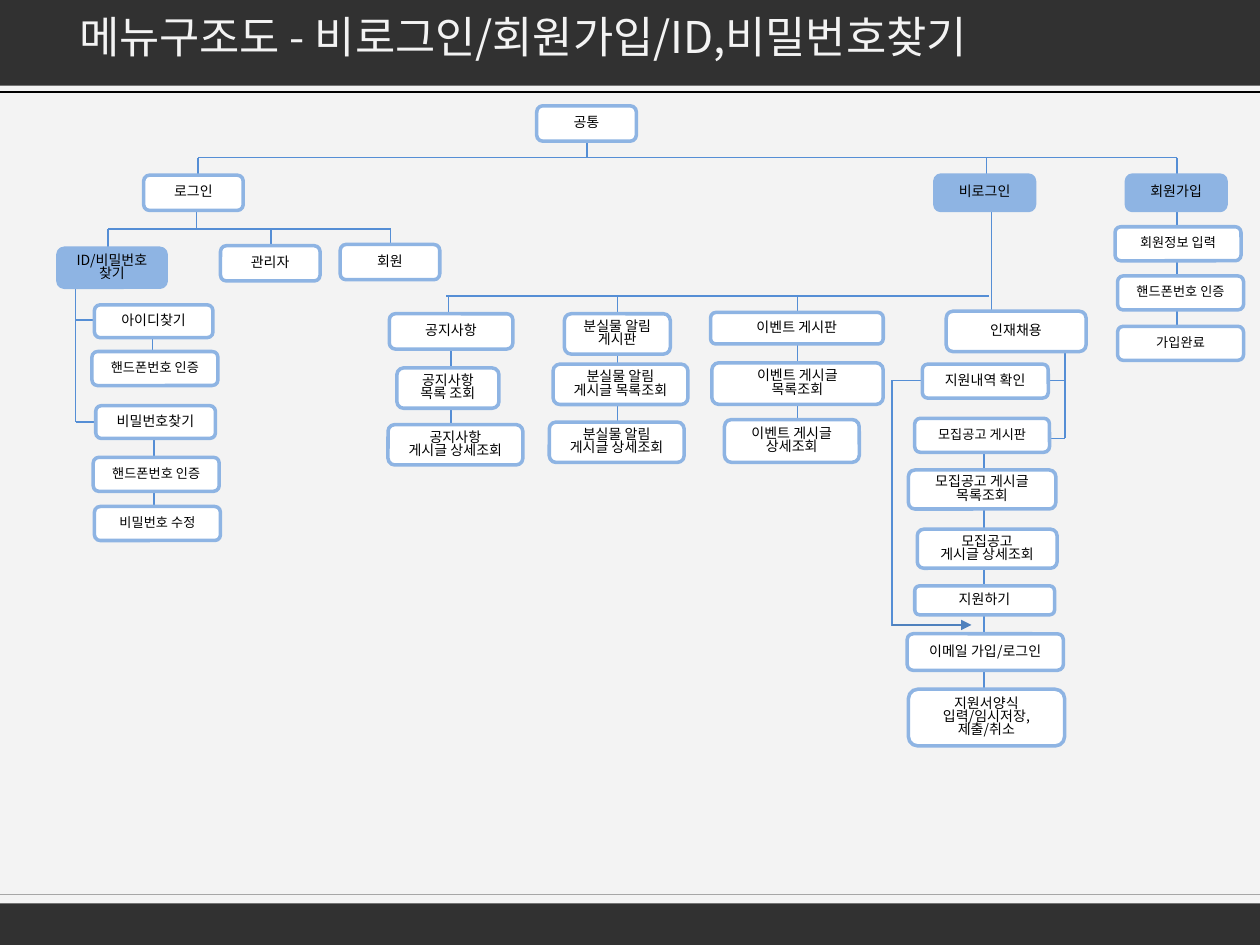
from lxml import etree
from pptx import Presentation
from pptx.dml.color import RGBColor
from pptx.enum.shapes import MSO_CONNECTOR, MSO_SHAPE
from pptx.enum.text import MSO_ANCHOR, PP_ALIGN
from pptx.oxml.ns import qn
from pptx.util import Inches, Pt

TITLE = "메뉴구조도 - 비로그인/회원가입/ID,비밀번호찾기"

# All lengths are grid units: the slide is 1000 columns by 750 rows.
COLUMNS, ROWS = 1000, 750
UNIT = Inches(10) // COLUMNS

# Each chain: x of its links, then boxes of (text, left, top, width, height, style).
CHAINS = [
    (466, [("공통", 426, 84, 79, 28, "plain")]),
    (157, [("로그인", 114, 139, 79, 28, "plain")]),
    (787, [("비로그인", 742, 139, 79, 28, "active"),
           ("인재채용", 751, 247, 111, 32, "plain")]),
    (934, [("회원가입", 894, 139, 79, 28, "active"),
           ("회원정보 입력", 885, 180, 100, 27, "small"),
           ("핸드폰번호 인증", 887, 219, 100, 27, "small"),
           ("가입완료", 887, 259, 100, 27, "small")]),
    (86, [("ID/비밀번호 찾기", 46, 197, 86, 31, "active")]),
    (215, [("관리자", 175, 195, 79, 28, "plain")]),
    (310, [("회원", 270, 194, 79, 28, "plain")]),
    (121, [("아이디찾기", 75, 242, 94, 26, "plain"),
           ("핸드폰번호 인증", 73, 279, 100, 27, "small")]),
    (122, [("비밀번호찾기", 76, 322, 95, 26, "plain"),
           ("핸드폰번호 인증", 74, 363, 100, 27, "small"),
           ("비밀번호 수정", 75, 402, 100, 27, "small")]),
    (358, [("공지사항", 309, 249, 98, 28, "plain"),
           ("공지사항 목록 조회", 315, 292, 81, 32, "plain"),
           ("공지사항\n게시글 상세조회", 308, 337, 107, 32, "plain")]),
    (490, [("분실물 알림\n게시판", 448, 249, 84, 32, "plain"),
           ("분실물 알림\n게시글 목록조회", 439, 289, 107, 32, "plain"),
           ("분실물 알림\n게시글 상세조회", 436, 335, 107, 32, "plain")]),
    (633, [("이벤트 게시판", 564, 248, 137, 25, "plain"),
           ("이벤트 게시글\n목록조회", 565, 288, 136, 33, "plain"),
           ("이벤트 게시글\n상세조회", 575, 333, 107, 34, "plain")]),
    (782, [("지원내역 확인", 732, 289, 100, 27, "plain")]),
    (781, [("모집공고 게시판", 726, 332, 107, 27, "small"),
           ("모집공고 게시글\n목록조회", 721, 373, 117, 31, "plain"),
           ("모집공고\n게시글 상세조회", 728, 420, 111, 31, "plain"),
           ("지원하기", 726, 465, 111, 23, "plain"),
           ("이메일 가입/로그인", 720, 503, 124, 29, "plain"),
           ("지원서양식\n입력/임시저장,\n제출/취소", 721, 547, 124, 45, "plain")]),
]

# Each bus: y, left end, right end, stems of (x, top, bottom).
BUSES = [
    (125, 157, 934, [(466, 112, 125), (157, 125, 139), (783, 125, 139), (934, 125, 139)]),
    (182, 86, 310, [(156, 167, 182), (86, 182, 197), (215, 182, 195), (310, 182, 194)]),
    (235, 354, 785, [(356, 235, 249), (490, 235, 249), (633, 235, 248)]),
]

# Side branches: x, top, bottom, arms of (y, far x).
BRANCHES = [
    (60, 229, 335, [(254, 75), (335, 76)]),
    (845, 279, 348, [(302, 832), (348, 833)]),
    (708, 302, 497, [(302, 733)]),
]

THEME = {
    "font": "Noto Sans CJK KR",
    "background": "F3F3F3", "bar": "313131", "title": "F3F3F3",
    "text": "000000", "border": "8EB4E3", "link": "558ED5",
    "arrow": "4F81BD", "header_rule": "000000", "footer_rule": "A6A6A6",
    "title_size": 25, "border_width": 2, "link_width": 1, "rule_width": 0.75,
}
STYLES = {"plain": ("FFFFFF", 8), "active": ("8EB4E3", 8), "small": ("FFFFFF", 7.5)}


def color(name):
    """Return the RGB colour of a theme entry or a hex code."""
    return RGBColor.from_string(THEME.get(name, name))


def grid(*lengths):
    """Turn grid units into slide lengths."""
    return [length * UNIT for length in lengths]


def write(frame, text, size, ink, align, spacing):
    """Put text into a frame, one paragraph to a line."""
    frame.word_wrap = True
    frame.text = text
    for paragraph in frame.paragraphs:
        paragraph.alignment = align
        paragraph.line_spacing = spacing
        for run in paragraph.runs:
            run.font.name, run.font.size = THEME["font"], Pt(size)
            run.font.color.rgb = color(ink)
            east_asian = etree.SubElement(run.font._element, qn("a:ea"))
            east_asian.set("typeface", THEME["font"])


def add_line(slide, x1, y1, x2, y2, ink="link", width=THEME["link_width"], arrow=False):
    """Draw a straight line, with an arrowhead at its end if asked."""
    line = slide.shapes.add_connector(MSO_CONNECTOR.STRAIGHT, *grid(x1, y1, x2, y2))
    line.line.color.rgb = color(ink)
    line.line.width = Pt(width)
    if arrow:
        etree.SubElement(line.line._get_or_add_ln(), qn("a:tailEnd")).set("type", "triangle")
    etree.SubElement(line._element.spPr, qn("a:effectLst"))


def add_bar(slide, top, height):
    """Draw a dark bar across the slide."""
    bar = slide.shapes.add_shape(MSO_SHAPE.RECTANGLE, *grid(0, top, COLUMNS, height))
    bar.shadow.inherit = False
    bar.fill.solid()
    bar.fill.fore_color.rgb = color("bar")
    bar.line.fill.background()


def add_box(slide, text, left, top, width, height, style):
    """Draw one menu box."""
    fill, size = STYLES[style]
    box = slide.shapes.add_shape(MSO_SHAPE.ROUNDED_RECTANGLE, *grid(left, top, width, height))
    box.shadow.inherit = False
    box.fill.solid()
    box.fill.fore_color.rgb = color(fill)
    box.line.color.rgb = color("border")
    box.line.width = Pt(THEME["border_width"])
    box.text_frame.vertical_anchor = MSO_ANCHOR.MIDDLE
    write(box.text_frame, text, size, "text", PP_ALIGN.CENTER, 0.8)


def add_frame(slide):
    """Draw the background, bars, rules and title."""
    slide.background.fill.solid()
    slide.background.fill.fore_color.rgb = color("background")
    add_bar(slide, 717, ROWS - 717)
    add_bar(slide, 0, 68)
    for y, ink in ((73, "header_rule"), (710, "footer_rule")):
        add_line(slide, 0, y, COLUMNS, y, ink, THEME["rule_width"])
    title = slide.shapes.add_textbox(*grid(53, 8, 832, 52))
    write(title.text_frame, TITLE, THEME["title_size"], "title", PP_ALIGN.LEFT, 0.88)


def add_links(slide):
    """Draw the buses, side branches and links inside the chains."""
    for y, left, right, stems in BUSES:
        add_line(slide, left, y, right, y)
        for x, top, bottom in stems:
            add_line(slide, x, top, x, bottom)
    for x, top, bottom, arms in BRANCHES:
        add_line(slide, x, top, x, bottom)
        for y, end in arms:
            add_line(slide, x, y, end, y)
    for x, boxes in CHAINS:
        for upper, lower in zip(boxes, boxes[1:]):
            add_line(slide, x, upper[2] + upper[4], x, lower[2])
    add_line(slide, 708, 496, 771, 496, "arrow", THEME["rule_width"], arrow=True)


def main():
    """Build the menu structure slide."""
    deck = Presentation()
    deck.slide_width, deck.slide_height = grid(COLUMNS, ROWS)
    slide = deck.slides.add_slide(deck.slide_layouts[6])
    add_frame(slide)
    add_links(slide)
    for _, boxes in CHAINS:
        for box in boxes:
            add_box(slide, *box)
    deck.save("out.pptx")


main()
